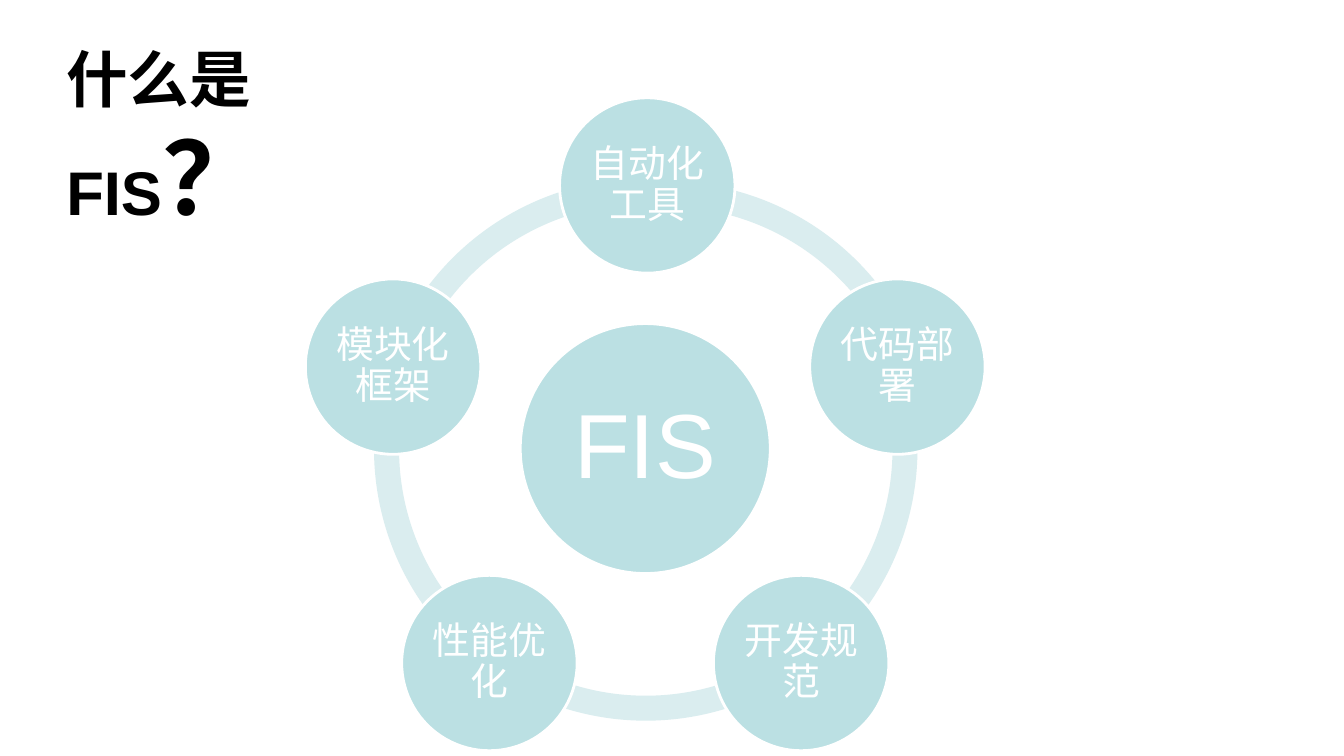
import math
from dataclasses import dataclass

from pptx import Presentation
from pptx import util as u
from pptx.dml.color import RGBColor
from pptx.enum import shapes, text

FONT = "Arial"
WHITE, BLACK, DISC, RING = "FFFFFF", "000000", "BBE0E3", "DAEDEF"
CX, CY = 6.4, 4.45          # centre of the cycle
ORBIT = 2.63                # centre of the cycle to centre of each disc
RING_SIZE, RING_BAND = 5.39, 0.046
STEP = 72


@dataclass
class Arc:
    left: float
    top: float
    start: float
    end: float


@dataclass
class Disc:
    label: str
    x: float
    y: float
    size: float
    font_size: int
    inset: float


def rgb(value: str) -> RGBColor:
    return RGBColor.from_string(value)


def add_run(p, label: str, size: int, color: str, bold: bool = False) -> None:
    r = p.add_run()
    r.text = label
    r.font.name, r.font.size, r.font.bold = FONT, u.Pt(size), bold
    r.font.color.rgb = rgb(color)


def draw_arc(parent, arc: Arc) -> None:
    sp = parent.add_shape(shapes.MSO_SHAPE.BLOCK_ARC, u.Inches(arc.left), u.Inches(arc.top),
                          u.Inches(RING_SIZE), u.Inches(RING_SIZE))
    # Angles are stored in 60000ths of a degree, adjustments in 100000ths
    sp.adjustments[0] = arc.start * 0.6
    sp.adjustments[1] = arc.end * 0.6
    sp.adjustments[2] = RING_BAND
    sp.fill.solid()
    sp.fill.fore_color.rgb = rgb(RING)
    sp.line.fill.background()
    sp.shadow.inherit = False


def draw_disc(parent, disc: Disc) -> None:
    def square(side: float):
        return (u.Inches(disc.x - side / 2), u.Inches(disc.y - side / 2),
                u.Inches(side), u.Inches(side))

    sp = parent.add_shape(shapes.MSO_SHAPE.OVAL, *square(disc.size))
    sp.fill.solid()
    sp.fill.fore_color.rgb = rgb(DISC)
    sp.line.color.rgb = rgb(WHITE)
    sp.line.width = u.Pt(2)
    sp.shadow.inherit = False

    # The label fills the square inscribed in the disc
    tf = parent.add_textbox(*square(disc.size / math.sqrt(2))).text_frame
    tf.word_wrap = True
    tf.vertical_anchor = text.MSO_ANCHOR.MIDDLE
    tf.margin_left = tf.margin_right = u.Inches(disc.inset)
    tf.margin_top = tf.margin_bottom = u.Inches(disc.inset)
    p = tf.paragraphs[0]
    p.alignment = text.PP_ALIGN.CENTER
    p.line_spacing = 0.9
    add_run(p, disc.label, disc.font_size, WHITE)


def orbit_disc(index: int, label: str) -> Disc:
    angle = math.radians(STEP * index - 90)
    nudge = 0.02 if index == 0 else 0      # the top disc sits slightly off the orbit
    return Disc(label, CX + ORBIT * math.cos(angle) + nudge,
                CY + ORBIT * math.sin(angle) + nudge, 1.74, 27, 0.04)


prs = Presentation()
prs.slide_width, prs.slide_height = u.Inches(13.33), u.Inches(7.5)
s = prs.slides.add_slide(prs.slide_layouts[6])
cycle = s.shapes.add_group_shape().shapes

# Ring: the two arcs that meet the top disc are set apart from the regular three
arcs = [Arc(3.7, 1.77, 198.39, 270.49)]
arcs += [Arc(3.71, 1.76, a, (a + STEP) % 360) for a in (126, 54, 342)]
arcs.append(Arc(3.9, 1.8, 270.25, 341.61))
for arc in arcs:
    draw_arc(cycle, arc)

# Central disc and the five around it
LABELS = ["自动化工具", "代码部署", "开发规范", "性能优化", "模块化框架"]
draw_disc(cycle, Disc("FIS", CX, CY, 2.48, 65, 0.09))
for i, label in enumerate(LABELS):
    draw_disc(cycle, orbit_disc(i, label))

# Title
tf = s.shapes.add_textbox(u.Inches(0.56), u.Inches(0.36),
                          u.Inches(3.76), u.Inches(1.31)).text_frame
tf.word_wrap = True
tf.auto_size = text.MSO_AUTO_SIZE.SHAPE_TO_FIT_TEXT
p = tf.paragraphs[0]
add_run(p, "什么是FIS", 44, BLACK, bold=True)
add_run(p, "？", 72, BLACK, bold=True)

prs.save("out.pptx")
